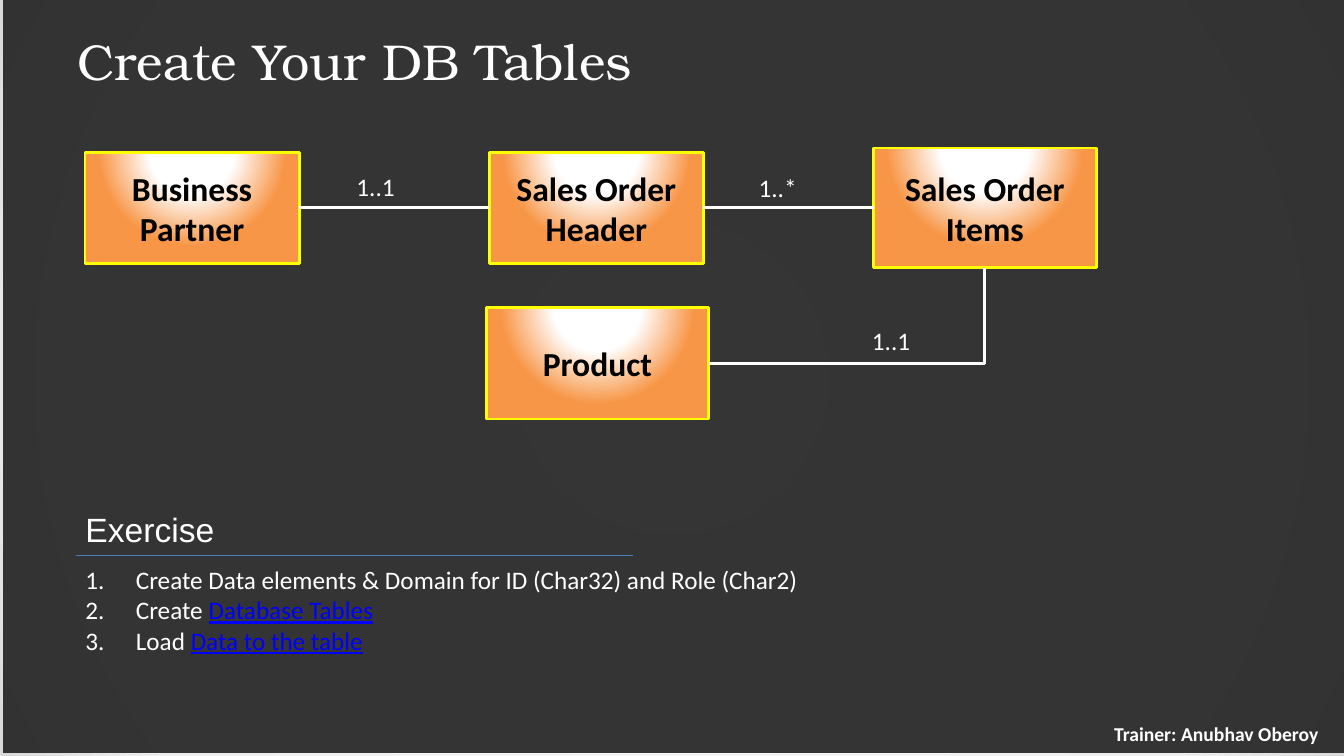
from lxml.etree import SubElement
from pptx import Presentation
from pptx.dml.color import RGBColor
from pptx.enum.shapes import MSO_CONNECTOR as Connector, MSO_SHAPE as Shape
from pptx.enum.text import MSO_ANCHOR as Anchor, MSO_AUTO_SIZE as AutoSize, PP_ALIGN as Align
from pptx.oxml.ns import qn
from pptx.util import Emu, Pt

PX = 9525
WIDTH, HEIGHT = 1280, 720
TOP, LEFT, BOTTOM, RIGHT = range(4)

WHITE = RGBColor(0xFF, 0xFF, 0xFF)
BLACK = RGBColor(0x00, 0x00, 0x00)
CHARCOAL = RGBColor(0x26, 0x26, 0x26)
PALE_GREY = RGBColor(0xEE, 0xEE, 0xEE)
MID_GREY = RGBColor(0xD9, 0xD9, 0xD9)
ORANGE = RGBColor(0xF7, 0x96, 0x46)
YELLOW = RGBColor(0xFF, 0xFF, 0x00)
RULE_BLUE = RGBColor(0x4B, 0x7E, 0xBC)
LINK_BLUE = RGBColor(0x00, 0x00, 0xFF)

TASKS = [
    ("Create Data elements & Domain for ID (Char32) and Role (Char2)", ""),
    ("Create ", "Database Tables"),
    ("Load ", "Data to the table"),
]


def px(*lengths):
    """Turn pixel lengths into EMU."""
    return [Emu(length * PX) for length in lengths]


def apply_radial(element, stops, top, bottom):
    """Make the gradient fill inside an element circular."""
    gradient = element.xpath(".//a:gradFill")[0]
    for child in list(gradient):
        gradient.remove(child)
    stop_list = SubElement(gradient, qn("a:gsLst"))
    for percent, color in stops:
        stop = SubElement(stop_list, qn("a:gs"), pos=str(percent * 1000))
        SubElement(stop, qn("a:srgbClr"), val=str(color))
    circle = SubElement(gradient, qn("a:path"), path="circle")
    SubElement(circle, qn("a:fillToRect"), l="50000", t=str(top * 1000),
               r="50000", b=str(bottom * 1000))


def add_run(paragraph, text, size, color=WHITE, font="Calibri", bold=False, underline=False):
    """Append one formatted run."""
    run = paragraph.add_run()
    run.text = text
    run.font.name, run.font.size = font, Pt(size)
    run.font.bold, run.font.underline = bold, underline
    run.font.color.rgb = color


def add_text_box(slide, box, grow=True):
    """Add a wrapping text box and return its text frame."""
    frame = slide.shapes.add_textbox(*px(*box)).text_frame
    frame.word_wrap = True
    if grow:
        frame.auto_size = AutoSize.SHAPE_TO_FIT_TEXT
    else:
        frame.vertical_anchor = Anchor.MIDDLE
        frame.margin_left, frame.margin_right = px(12, 12)
        frame.margin_top, frame.margin_bottom = px(7, 7)
    return frame


def add_line(slide, kind, ends, color, weight):
    """Add a connector without a shadow."""
    line = slide.shapes.add_connector(kind, *px(*ends))
    line.line.color.rgb = color
    line.line.width = Pt(weight)
    SubElement(line.element.spPr, qn("a:effectLst"))
    return line


def add_backdrop(slide):
    """Fill the background and lay the dark sheet over it."""
    slide.background.fill.gradient()
    apply_radial(slide.element, [(0, WHITE), (81, PALE_GREY), (100, MID_GREY)], 50, 50)
    sheet = slide.shapes.add_shape(Shape.RECTANGLE, *px(3, -3, WIDTH, HEIGHT))
    sheet.shadow.inherit = False
    sheet.line.fill.background()
    sheet.fill.solid()
    sheet.fill.fore_color.rgb = CHARCOAL
    color = sheet.element.spPr.xpath("./a:solidFill/a:srgbClr")[0]
    SubElement(color, qn("a:alpha"), val="93000")


def add_title(slide, box):
    """Add the slide title."""
    frame = add_text_box(slide, box, grow=False)
    add_run(frame.paragraphs[0], "Create Your DB Tables", 36, font="TeX Gyre Bonum")


def add_trainer(slide, box):
    """Add the trainer line in the corner."""
    paragraph = add_text_box(slide, box, grow=False).paragraphs[0]
    paragraph.alignment = Align.CENTER
    add_run(paragraph, "Trainer: Anubhav Oberoy", 14, bold=True)


def add_entity(slide, name, box):
    """Add one entity box of the data model."""
    entity = slide.shapes.add_shape(Shape.RECTANGLE, *px(*box))
    entity.shadow.inherit = False
    entity.fill.gradient()
    apply_radial(entity.element, [(0, WHITE), (35, WHITE), (78, ORANGE)], -80, 180)
    entity.line.color.rgb = YELLOW
    entity.line.width = Pt(2)
    frame = entity.text_frame
    frame.word_wrap = True
    frame.vertical_anchor = Anchor.MIDDLE
    frame.paragraphs[0].alignment = Align.CENTER
    add_run(frame.paragraphs[0], name, 24, BLACK, bold=True)
    return entity


def join(slide, kind, start, start_side, end, end_side):
    """Join two entity boxes at the middles of their sides."""
    line = add_line(slide, kind, (0, 0, 0, 0), WHITE, 2.25)
    line.begin_connect(start, start_side)
    line.end_connect(end, end_side)
    return line


def add_model(slide, box):
    """Draw the entities, their relations and the cardinalities."""
    left, top, width, height = box
    header_left, items_left, product_left = left + 385, left + width - 212, left + 382
    partner = add_entity(slide, "Business Partner", (left, top + 4, 204, 106))
    header = add_entity(slide, "Sales Order Header", (header_left, top + 4, 204, 106))
    items = add_entity(slide, "Sales Order Items", (items_left, top, 212, 114))
    product = add_entity(slide, "Product", (product_left, top + height - 106, 212, 106))

    join(slide, Connector.STRAIGHT, partner, RIGHT, header, LEFT)
    join(slide, Connector.ELBOW, header, RIGHT, items, LEFT)
    corner = join(slide, Connector.ELBOW, product, RIGHT, items, BOTTOM)
    corner.element.spPr.find(qn("a:prstGeom")).set("prst", "bentConnector2")

    for text, x, y in [("1..1", 249, 17), ("1..*", 632, 18), ("1..1", 740, 164)]:
        frame = add_text_box(slide, (left + x, top + y, 68, 38))
        add_run(frame.paragraphs[0], text, 18)


def add_exercise(slide, box):
    """Add the exercise heading, its rule and the numbered tasks."""
    left, top, width, height = box
    heading = add_text_box(slide, (left, top, 219, 48))
    add_run(heading.paragraphs[0], "Exercise", 24, font="Arial")
    add_line(slide, Connector.STRAIGHT, (left, top + 49, left + 531, top + 49), RULE_BLUE, 0.75)
    frame = add_text_box(slide, (left, top + 53, width, height - 53))
    for index, (lead, link) in enumerate(TASKS):
        paragraph = frame.add_paragraph() if index else frame.paragraphs[0]
        properties = paragraph._p.get_or_add_pPr()
        properties.set("marL", str(48 * PX))
        properties.set("indent", str(-48 * PX))
        SubElement(properties, qn("a:buFont"), typeface="+mj-lt")
        SubElement(properties, qn("a:buAutoNum"), type="arabicPeriod")
        add_run(paragraph, lead, 18)
        if link:
            add_run(paragraph, link, 18, LINK_BLUE, underline=True)


def main():
    """Build the slide and save it."""
    presentation = Presentation()
    presentation.slide_width, presentation.slide_height = px(WIDTH, HEIGHT)
    slide = presentation.slides.add_slide(presentation.slide_layouts[6])
    add_backdrop(slide)
    add_title(slide, (62, 20, 1152, 75))
    add_trainer(slide, (1041, 680, 235, 37))
    add_model(slide, (81, 141, 963, 258))
    add_exercise(slide, (72, 480, 1021, 150))
    presentation.save("out.pptx")


if __name__ == "__main__":
    main()
